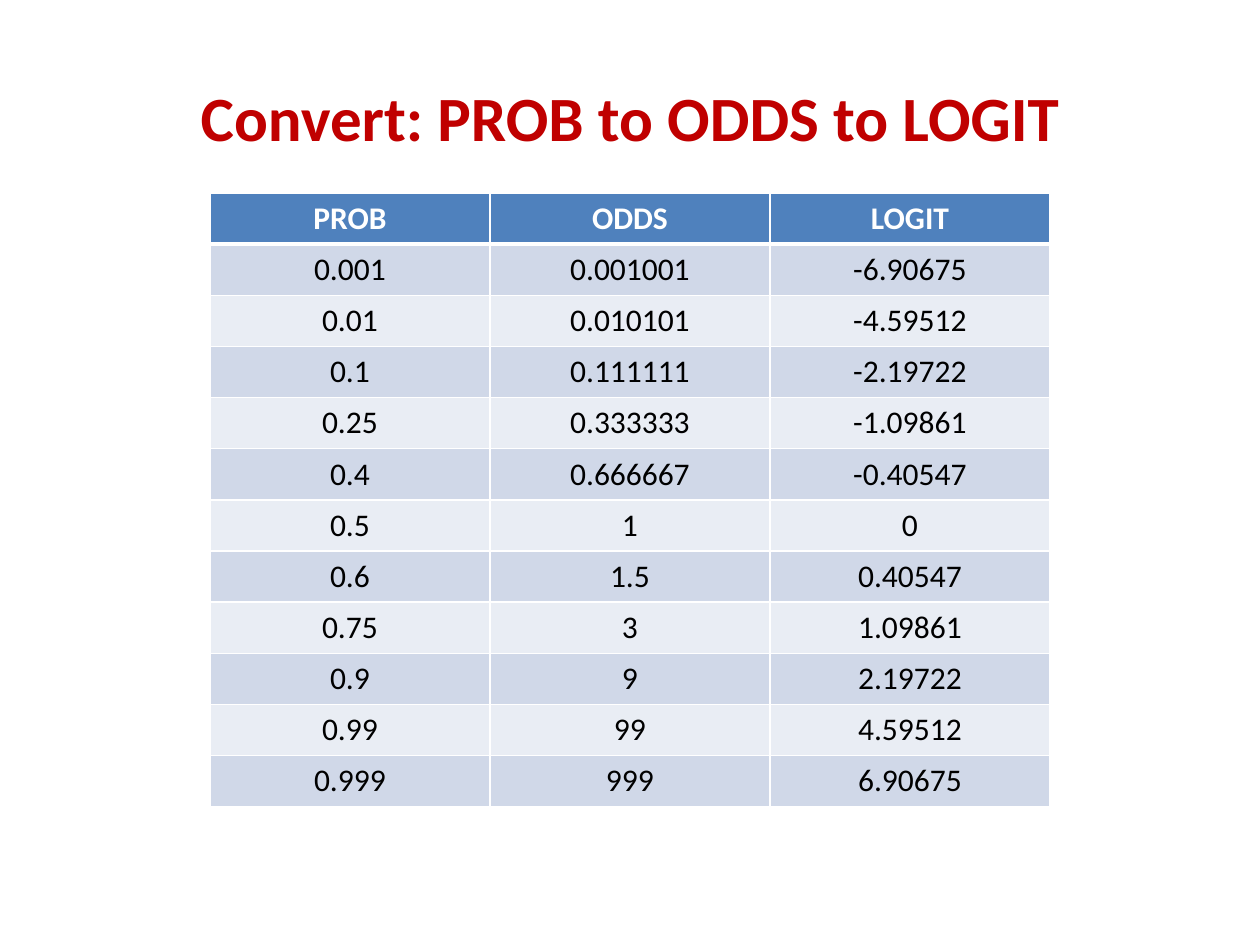
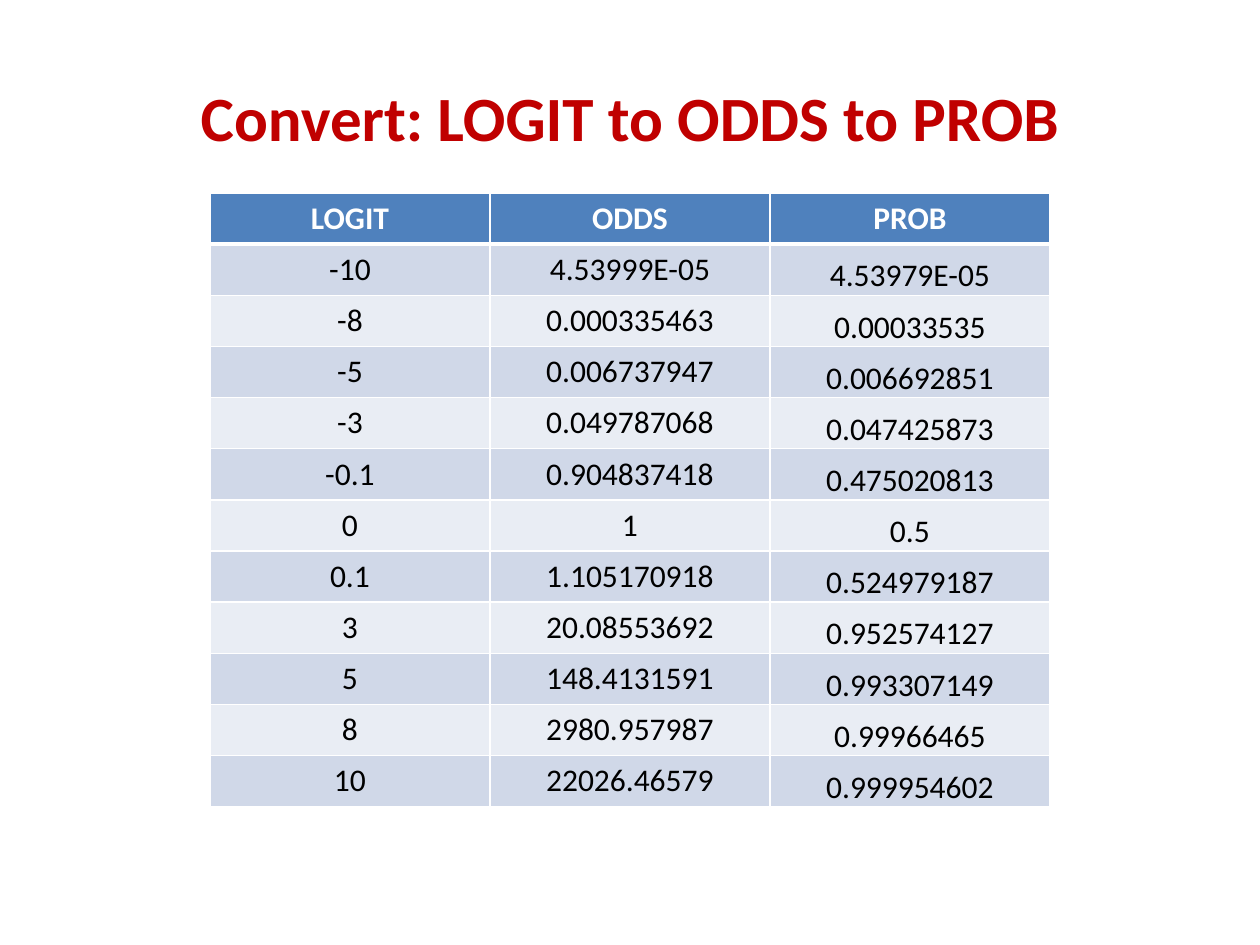
import pptx
import pptx.util
import pptx.dml.color
import pptx.enum.text
import lxml.etree
from pptx.oxml.ns import qn

# Content: title, header, rows, and the column set low in its cells (if any)
TABLES = [
    {
        "title": "Convert: PROB to ODDS to LOGIT",
        "header": ("PROB", "ODDS", "LOGIT"),
        "rows": [
            ("0.001", "0.001001", "-6.90675"),
            ("0.01", "0.010101", "-4.59512"),
            ("0.1", "0.111111", "-2.19722"),
            ("0.25", "0.333333", "-1.09861"),
            ("0.4", "0.666667", "-0.40547"),
            ("0.5", "1", "0"),
            ("0.6", "1.5", "0.40547"),
            ("0.75", "3", "1.09861"),
            ("0.9", "9", "2.19722"),
            ("0.99", "99", "4.59512"),
            ("0.999", "999", "6.90675"),
        ],
        "low_column": None,
    },
    {
        "title": "Convert: LOGIT to ODDS to PROB",
        "header": ("LOGIT", "ODDS", "PROB"),
        "rows": [
            ("-10", "4.53999E-05", "4.53979E-05"),
            ("-8", "0.000335463", "0.00033535"),
            ("-5", "0.006737947", "0.006692851"),
            ("-3", "0.049787068", "0.047425873"),
            ("-0.1", "0.904837418", "0.475020813"),
            ("0", "1", "0.5"),
            ("0.1", "1.105170918", "0.524979187"),
            ("3", "20.08553692", "0.952574127"),
            ("5", "148.4131591", "0.993307149"),
            ("8", "2980.957987", "0.99966465"),
            ("10", "22026.46579", "0.999954602"),
        ],
        "low_column": 2,
    },
]

# Shared style; boxes are left, top, width, height in pixels
FONT = "Calibri"
RED, BLUE, WHITE, BLACK = "C00000", "4F81BD", "FFFFFF", "000000"
BANDS = ("E9EDF4", "D0D8E8")
SLIDE_SIZE = (1260, 945)
TITLE_BOX = (63, 38, 1134, 157)
TABLE_BOX = (210, 193, 840, 614)
THIN, THICK = 1, 3


def px(pixels):
    return pptx.util.Emu(round(pixels * 914400 / 126))


def color(value):
    return pptx.dml.color.RGBColor.from_string(value)


def write(text_frame, text, size, hex_color, bold):
    paragraph = text_frame.paragraphs[0]
    paragraph.alignment = pptx.enum.text.PP_ALIGN.CENTER
    run = paragraph.add_run()
    run.text = text
    run.font.name = FONT
    run.font.size = pptx.util.Pt(size)
    run.font.bold = bold
    run.font.color.rgb = color(hex_color)


def set_borders(cell, widths):
    properties = cell._tc.get_or_add_tcPr()
    for side, width in widths.items():
        line = lxml.etree.SubElement(properties, qn("a:ln" + side), w=str(pptx.util.Pt(width)))
        fill = lxml.etree.SubElement(line, qn("a:solidFill"))
        lxml.etree.SubElement(fill, qn("a:srgbClr"), val=WHITE)


def add_title(slide, text):
    text_frame = slide.shapes.add_textbox(*map(px, TITLE_BOX)).text_frame
    text_frame.word_wrap = True
    text_frame.vertical_anchor = pptx.enum.text.MSO_ANCHOR.MIDDLE
    write(text_frame, text, 36, RED, True)


def add_values(slide, header, rows, low_column):
    lines = [header, *rows]
    table = slide.shapes.add_table(len(lines), len(header), *map(px, TABLE_BOX)).table
    for row, values in enumerate(lines):
        is_header = row == 0
        # The thick rule runs between the header and the first row
        widths = {"L": THIN, "R": THIN,
                  "T": THICK if row == 1 else THIN,
                  "B": THICK if is_header else THIN}
        for column, value in enumerate(values):
            cell = table.cell(row, column)
            set_borders(cell, widths)
            cell.fill.solid()
            cell.fill.fore_color.rgb = color(BLUE if is_header else BANDS[row % 2])
            if column == low_column and not is_header:
                cell.vertical_anchor = pptx.enum.text.MSO_ANCHOR.BOTTOM
                cell.margin_left = cell.margin_right = cell.margin_top = px(1)
                cell.margin_bottom = 0
            write(cell.text_frame, value, 18, WHITE if is_header else BLACK, is_header)


# Build the slides
presentation = pptx.Presentation()
presentation.slide_width, presentation.slide_height = map(px, SLIDE_SIZE)
for content in TABLES:
    slide = presentation.slides.add_slide(presentation.slide_layouts[6])
    add_title(slide, content["title"])
    add_values(slide, content["header"], content["rows"], content["low_column"])
presentation.save("out.pptx")
